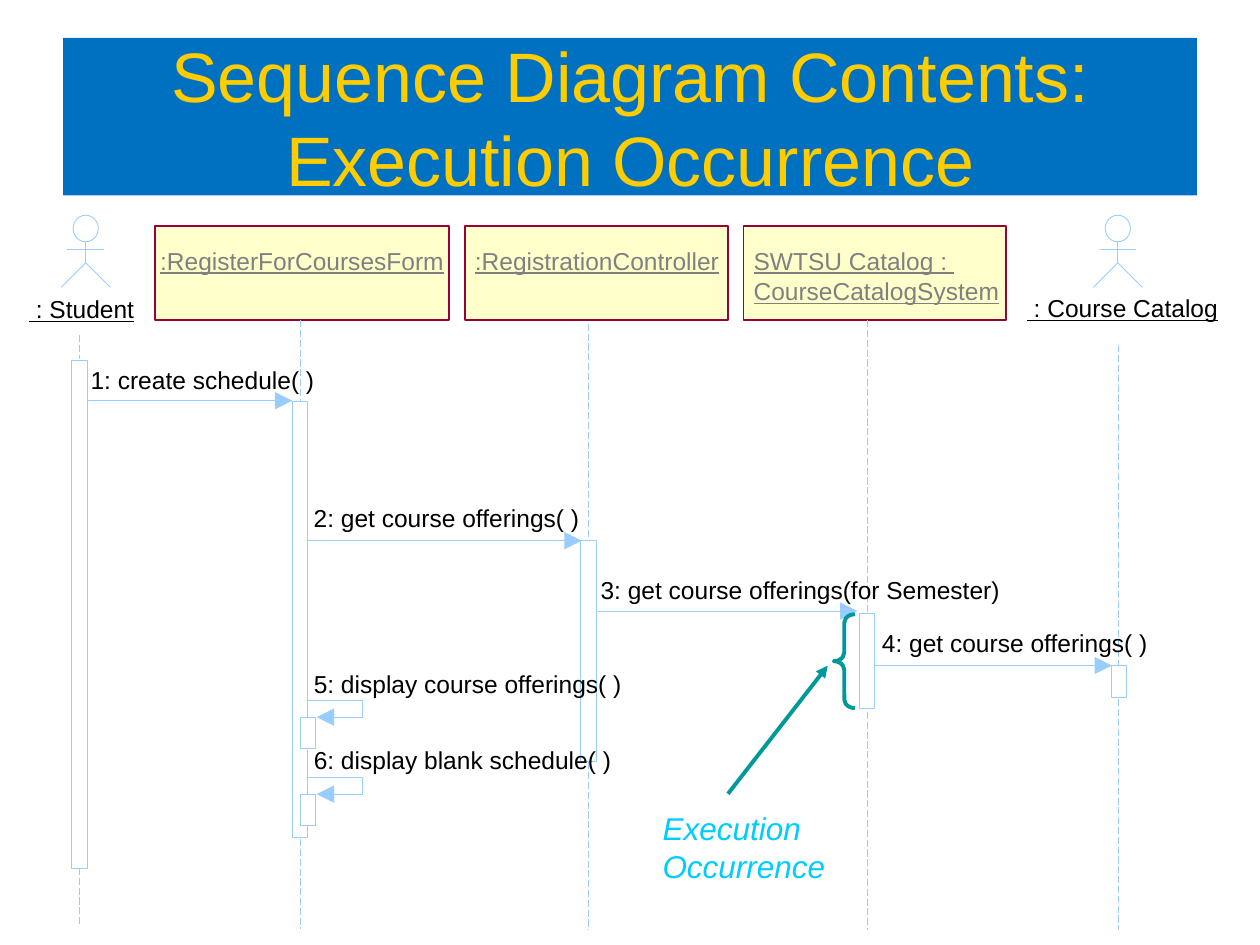
from lxml import etree
from pptx import Presentation
from pptx.dml import color
from pptx.enum import dml, shapes, text
from pptx.oxml import ns
from pptx.util import Pt

COLORS = {
    "title_fill": "0070C0",
    "title": "FFCC00",
    "line": "99CCFF",
    "box_fill": "FFFFCC",
    "box_line": "990033",
    "box_text": "808080",
    "label": "000000",
    "note": "00CCFF",
    "pointer": "009999",
}
FONT = "Arial"
BAR_WIDTH = 8.8
STUDENT, FORM, CONTROLLER, CATALOG, COURSE = 45.5, 171.5, 336.3, 495.6, 639.4


def rgb(name):
    return color.RGBColor.from_string(COLORS[name])


def write_text(frame, words, size=14, ink="label", underline=False, italic=False,
               align=text.PP_ALIGN.LEFT, wrap=False, margins=(0, 0),
               anchor=text.MSO_ANCHOR.TOP):
    frame.word_wrap = wrap
    frame.auto_size = text.MSO_AUTO_SIZE.NONE
    frame.vertical_anchor = anchor
    frame.margin_left = frame.margin_right = Pt(margins[0])
    frame.margin_top = frame.margin_bottom = Pt(margins[1])
    paragraph = frame.paragraphs[0]
    paragraph.alignment = align
    run = paragraph.add_run()
    run.text = words
    font = run.font
    font.name, font.size = FONT, Pt(size)
    font.underline, font.italic = underline, italic
    font.color.rgb = rgb(ink)


def add_label(slide, words, left, top, width, height=16.8, **style):
    label = slide.shapes.add_textbox(Pt(left), Pt(top), Pt(width), Pt(height))
    write_text(label.text_frame, words, **style)


def style_line(line, ink="line", weight=0.5, dashed=False, arrow=None):
    line.color.rgb = rgb(ink)
    line.width = Pt(weight)
    if dashed:
        line.dash_style = dml.MSO_LINE.LONG_DASH
    if arrow:
        etree.SubElement(line._get_or_add_ln(), ns.qn("a:tailEnd"),
                         type="triangle", w=arrow, len=arrow)


def add_line(slide, x1, y1, x2, y2, **style):
    connector = slide.shapes.add_connector(
        shapes.MSO_CONNECTOR.STRAIGHT, Pt(x1), Pt(y1), Pt(x2), Pt(y2))
    style_line(connector.line, **style)
    etree.SubElement(connector._element.spPr, ns.qn("a:effectLst"))


def add_preset(slide, kind, left, top, width, height, fill=None, **style):
    preset = slide.shapes.add_shape(kind, Pt(left), Pt(top), Pt(width), Pt(height))
    preset.shadow.inherit = False
    if fill:
        preset.fill.solid()
        preset.fill.fore_color.rgb = rgb(fill)
    else:
        preset.fill.background()
    style_line(preset.line, **style)
    return preset


def add_path(slide, points, **style):
    corners = [(Pt(x), Pt(y)) for x, y in points]
    builder = slide.shapes.build_freeform(*corners[0])
    builder.add_line_segments(corners[1:], close=False)
    outline = builder.convert_to_shape()
    outline.shadow.inherit = False
    outline.fill.background()
    style_line(outline.line, **style)


def add_bar(slide, center, top, height):
    add_preset(slide, shapes.MSO_SHAPE.RECTANGLE, center - BAR_WIDTH / 2, top,
               BAR_WIDTH, height)


def add_actor(slide, center, name, left, top, width):
    add_preset(slide, shapes.MSO_SHAPE.OVAL, center - 7.2, 123, 14.4, 15.2)
    add_line(slide, center, 138.2, center, 150.2)
    add_line(slide, center - 10.5, 142.6, center + 10.5, 142.6)
    for side in (-14, 14):
        add_line(slide, center + side, 164.2, center, 150.2)
    add_label(slide, name, left, top, width, underline=True)


def add_participant(slide, left, width, lines):
    add_preset(slide, shapes.MSO_SHAPE.RECTANGLE, left, 129, width, 54,
               fill="box_fill", ink="box_line", weight=1)
    for row, (name, name_left, name_width) in enumerate(lines):
        add_label(slide, name, name_left, 140.4 + row * 17.4, name_width,
                  ink="box_text", underline=True)


def add_self_call(slide, top):
    add_path(slide, [(176.2, top), (207.2, top), (207.2, top + 9.6),
                     (181, top + 9.6)], arrow="lg")
    add_bar(slide, FORM + BAR_WIDTH / 2, top + 9.6, 18)


def add_title(slide):
    title = slide.shapes.title
    title.left, title.top, title.width, title.height = Pt(36), Pt(21.6), Pt(648), Pt(90)
    title.fill.solid()
    title.fill.fore_color.rgb = rgb("title_fill")
    write_text(title.text_frame, "Sequence Diagram Contents: Execution Occurrence",
               size=40, ink="title", align=text.PP_ALIGN.CENTER, wrap=True,
               margins=(7.2, 3.6), anchor=text.MSO_ANCHOR.MIDDLE)


def add_note(slide):
    brace = add_preset(slide, shapes.MSO_SHAPE.LEFT_BRACE, 476.4, 351, 12.1, 53.6,
                       ink="pointer", weight=2.25)
    brace.adjustments[0] = 0.4
    add_line(slide, 416, 453.6, 473, 380.4, ink="pointer", weight=2.25, arrow="med")
    add_label(slide, "Execution Occurrence", 370, 458, 121, 52, size=18, ink="note",
              italic=True, wrap=True, margins=(8.6, 4.3))


def main():
    deck = Presentation()
    deck.slide_width, deck.slide_height = Pt(720), Pt(540)
    slide = deck.slides.add_slide(deck.slide_layouts[5])
    add_title(slide)

    participants = [
        (88.7, 168, [(":RegisterForCoursesForm", 91.5, 162)]),
        (265.8, 150.2, [(":RegistrationController", 271.4, 139.7)]),
        (424.8, 150.2, [("SWTSU Catalog : ", 430.6, 150),
                        ("CourseCatalogSystem", 430.6, 140.4)]),
    ]
    for participant in participants:
        add_participant(slide, *participant)
    add_actor(slide, 49, " : Student", 16.6, 168, 60.5)
    add_actor(slide, 638.8, " : Course Catalog", 586.8, 167.4, 109.4)

    lifelines = [
        (STUDENT, 191.5, 205.2), (STUDENT, 496, 528.5),
        (FORM, 183, 229.7), (FORM, 479.5, 530.6),
        (CONTROLLER, 185, 308.2), (CONTROLLER, 435.6, 531.4),
        (CATALOG, 183, 350), (CATALOG, 406.8, 531.4),
        (COURSE, 197.3, 380.2), (COURSE, 399.6, 531.4),
    ]
    for center, top, bottom in lifelines:
        add_line(slide, center, top, center, bottom, dashed=True)

    for center, top, height in [(STUDENT, 206, 290), (CONTROLLER, 309, 126),
                                (CATALOG, 350.6, 54), (COURSE, 380.2, 18.2)]:
        add_bar(slide, center, top, height)

    left, right = FORM - BAR_WIDTH / 2, FORM + BAR_WIDTH / 2
    add_path(slide, [(right, 409.7), (right, 229.7), (left, 229.7), (left, 478.8),
                     (right, 478.8), (right, 472.3)])
    add_line(slide, right, 428.4, right, 453.6)
    for top in (400.2, 444.2):
        add_self_call(slide, top)

    for start, end, level in [(49.9, 167, 229), (176.2, 332.4, 309),
                              (341.6, 490, 349.2), (500, 635.4, 380.3)]:
        add_line(slide, start, level, end, level, arrow="lg")

    messages = [
        ("1: create schedule( )", 51.8, 208.4, 128),
        ("2: get course offerings( )", 179.3, 287.3, 152),
        ("3: get course offerings(for Semester)", 343.2, 328.4, 229),
        ("4: get course offerings( )", 504, 358.7, 152),
        ("5: display course offerings( )", 179.3, 382, 176.4),
        ("6: display blank schedule( )", 179.3, 425.8, 170),
    ]
    for message in messages:
        add_label(slide, *message)

    add_note(slide)
    deck.save("out.pptx")


if __name__ == "__main__":
    main()
